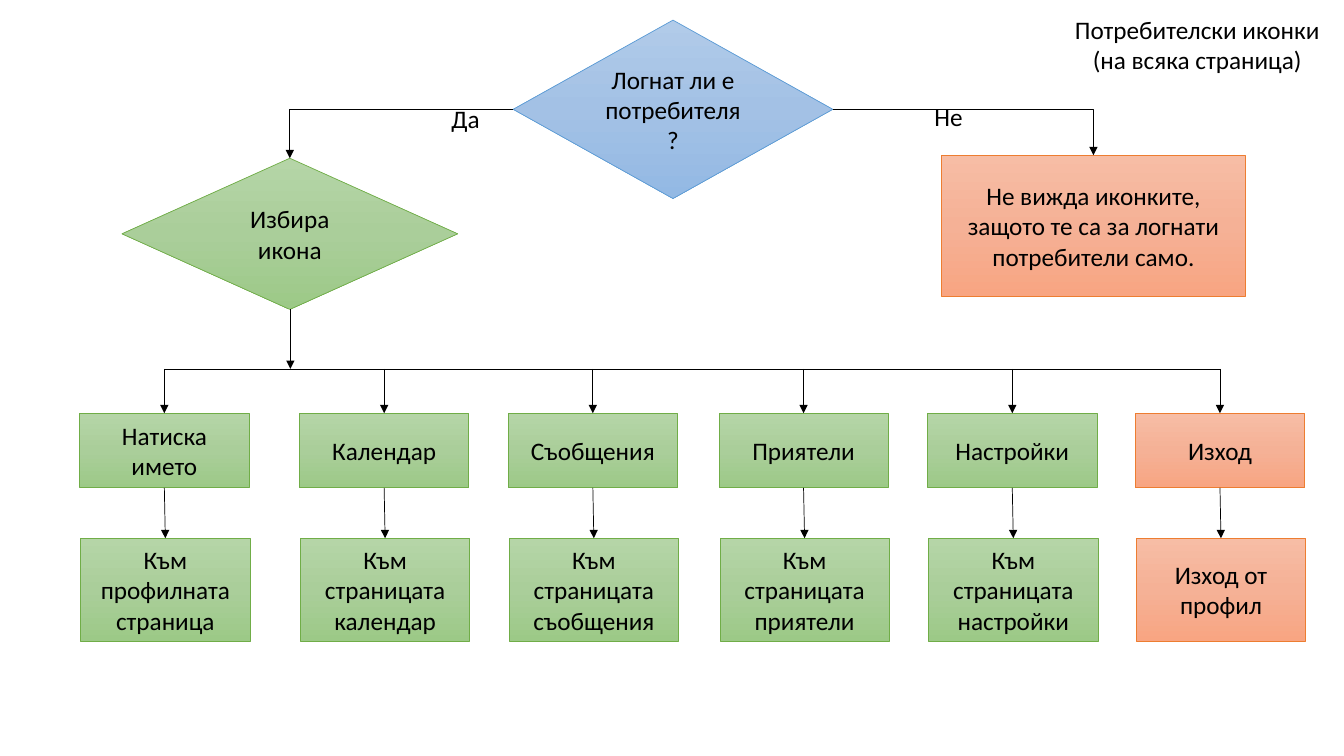
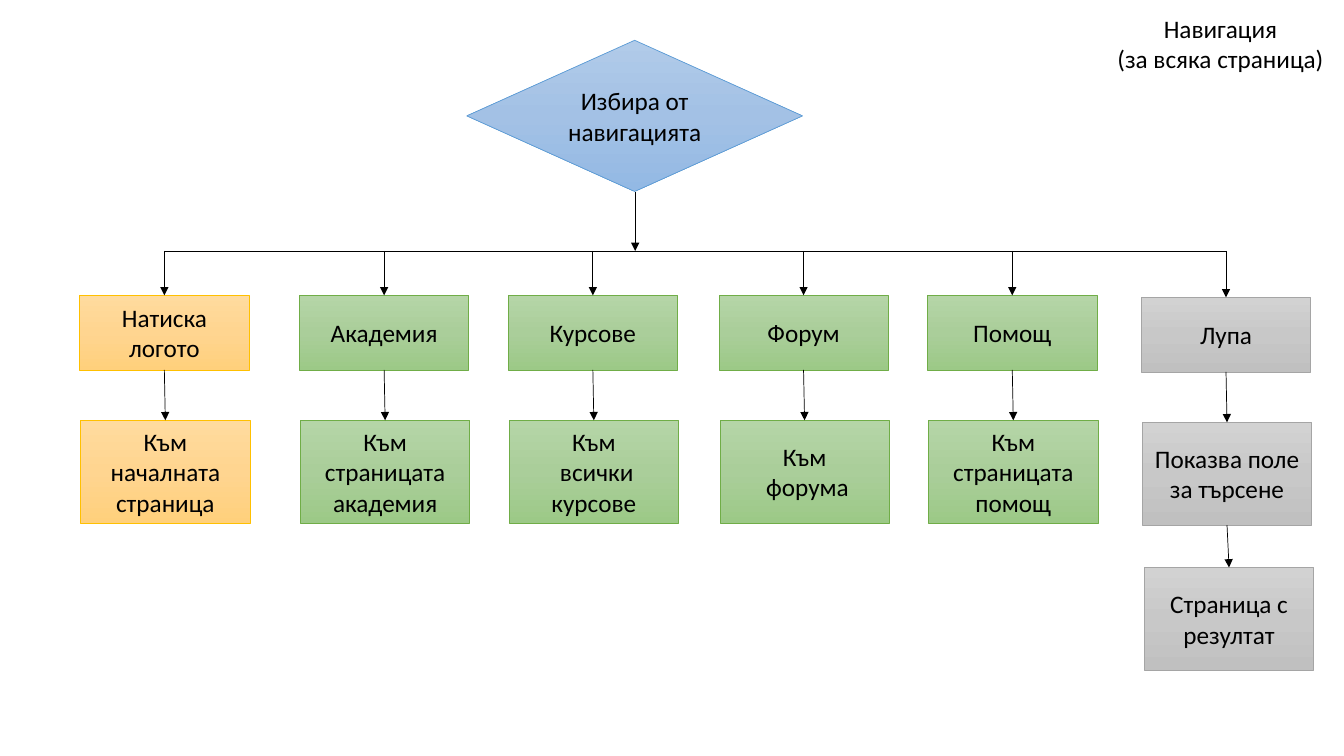
from copy import deepcopy

from lxml import etree
from pptx import Presentation
from pptx.dml.color import RGBColor
from pptx.enum.shapes import MSO_CONNECTOR, MSO_SHAPE
from pptx.enum.text import MSO_ANCHOR, MSO_AUTO_SIZE, PP_ALIGN
from pptx.oxml.ns import qn
from pptx.util import Inches, Pt

BOX, DIAMOND = MSO_SHAPE.RECTANGLE, MSO_SHAPE.DIAMOND
STRAIGHT, ELBOW = MSO_CONNECTOR.STRAIGHT, MSO_CONNECTOR.ELBOW
CENTER, LEFT = PP_ALIGN.CENTER, PP_ALIGN.LEFT
TOP, MIDDLE = MSO_ANCHOR.TOP, MSO_ANCHOR.MIDDLE
NO_AUTO_SIZE = MSO_AUTO_SIZE.NONE
TOP_SITE, LEFT_SITE, BOTTOM_SITE, RIGHT_SITE = range(4)

BLACK = RGBColor(0x00, 0x00, 0x00)


def palette(*codes):
    """Three gradient colours from top to bottom, then the outline colour."""
    return [RGBColor.from_string(code) for code in codes]


BLUE = palette("B1CBE9", "A3C1E5", "93B9E4", "5B9BD5")
GREEN = palette("B5D5A7", "AACE9A", "9CC987", "70AD47")
ORANGE = palette("F7BDA5", "F5B196", "F8A582", "ED7D31")
YELLOW = palette("FFDB9E", "FFD590", "FFD07C", "FFC000")
GRAY = palette("D2D2D2", "C8C8C8", "C0C0C0", "A5A5A5")

COLUMNS = [0.79, 2.97, 5.04, 7.13, 9.2, 11.26]
BOX_WIDTH = 1.68
ACTION_HEIGHT = 0.74
RESULT_HEIGHT = 1.02
RESULT_DROP = 1.24
RESULT_SHIFT = 0.01
BAR_GAP = 0.44


class Flowchart:
    font_name = "Calibri"
    font_size = Pt(18)
    line_width = Pt(0.5)

    def __init__(self):
        self.presentation = Presentation()
        self.presentation.slide_width = Inches(13.33)
        self.presentation.slide_height = Inches(7.5)
        self.slide = None

    def set_text(self, text_frame, text, alignment=CENTER):
        text_frame.text = text
        for paragraph in text_frame.paragraphs:
            paragraph.alignment = alignment
            paragraph.line_spacing = 1.0
            for run in paragraph.runs:
                run.font.name = self.font_name
                run.font.size = self.font_size
                run.font.color.rgb = BLACK

    def start_slide(self, title, left, top, width):
        layout = self.presentation.slide_layouts[5]
        self.slide = self.presentation.slides.add_slide(layout)
        placeholder = self.slide.shapes.title
        placeholder.left, placeholder.top = Inches(left), Inches(top)
        placeholder.width, placeholder.height = Inches(width), Inches(0.71)
        text_frame = placeholder.text_frame
        text_frame.auto_size = NO_AUTO_SIZE
        text_frame.word_wrap = False
        text_frame.vertical_anchor = TOP
        self.set_text(text_frame, title)

    def label(self, text, left, top):
        text_box = self.slide.shapes.add_textbox(
            Inches(left), Inches(top), Inches(0.57), Inches(0.4))
        text_box.text_frame.word_wrap = True
        self.set_text(text_box.text_frame, text, LEFT)

    def node(self, kind, colors, text, left, top, width, height):
        shape = self.slide.shapes.add_shape(
            kind, Inches(left), Inches(top), Inches(width), Inches(height))
        shape.shadow.inherit = False
        self.paint(shape, colors)
        shape.text_frame.word_wrap = True
        shape.text_frame.vertical_anchor = MIDDLE
        self.set_text(shape.text_frame, text)
        return shape

    def paint(self, shape, colors):
        *gradient, outline = colors
        shape.fill.gradient()
        shape.fill.gradient_angle = 270
        stop_list = next(shape._element.iter(qn("a:gsLst")))
        stop_list.append(deepcopy(stop_list[-1]))
        for index, color in enumerate(gradient):
            stop = shape.fill.gradient_stops[index]
            stop.color.rgb = color
            stop.position = index / 2
        shape.line.color.rgb = outline
        shape.line.width = self.line_width

    def style_line(self, connector, arrow=True):
        connector.line.color.rgb = BLACK
        connector.line.width = self.line_width
        properties = connector._element.spPr
        if arrow:
            line = properties.find(qn("a:ln"))
            etree.SubElement(line, qn("a:tailEnd"), type="triangle")
        etree.SubElement(properties, qn("a:effectLst"))

    def line(self, start, end, arrow=True):
        connector = self.slide.shapes.add_connector(
            STRAIGHT, *[Inches(value) for value in (*start, *end)])
        self.style_line(connector, arrow)

    def link(self, source, target, source_site=BOTTOM_SITE, kind=STRAIGHT):
        """Glue an arrow from a site of the source to the top of the target."""
        connector = self.slide.shapes.add_connector(kind, 0, 0, 0, 0)
        connector.begin_connect(source, source_site)
        connector.end_connect(target, TOP_SITE)
        if kind == ELBOW:
            geometry = connector._element.spPr.find(qn("a:prstGeom"))
            geometry.set("prst", "bentConnector2")
        self.style_line(connector)

    def result(self, previous, colors, text, left, top):
        shape = self.node(BOX, colors, text, left, top, BOX_WIDTH, RESULT_HEIGHT)
        self.link(previous, shape)
        return shape

    def branch(self, left, top, bar_top, colors, action_text, result_text):
        """Arrow from the bar to an action box, and on to its result box."""
        action = self.node(BOX, colors, action_text, left, top,
                           BOX_WIDTH, ACTION_HEIGHT)
        center = left + BOX_WIDTH / 2
        self.line((center, bar_top), (center, top))
        return self.result(action, colors, result_text,
                           left + RESULT_SHIFT, top + RESULT_DROP)

    def bar(self, columns, top):
        first, last = (left + BOX_WIDTH / 2 for left in (columns[0], columns[-1]))
        self.line((first, top), (last, top), arrow=False)


def build_user_icons(chart):
    chart.start_slide("Потребителски иконки\n(на всяка страница)", 10.51, 0.09, 2.73)
    question = chart.node(DIAMOND, BLUE, "Логнат ли е потребителя?",
                          5.09, 0.2, 3.17, 1.77)
    refusal = chart.node(
        BOX, ORANGE, "Не вижда иконките, защото те са за логнати потребители само.",
        9.34, 1.54, 3.01, 1.4)
    choice = chart.node(DIAMOND, GREEN, "Избира икона", 1.21, 1.57, 3.33, 1.5)
    chart.link(question, refusal, RIGHT_SITE, ELBOW)
    chart.link(question, choice, LEFT_SITE, ELBOW)
    chart.label("Да", 4.38, 0.98)
    chart.label("Не", 9.17, 0.96)

    top = 4.1
    bar_top = top - BAR_GAP
    chart.line((2.88, 3.07), (2.88, bar_top))
    chart.bar(COLUMNS, bar_top)
    branches = [
        (GREEN, "Натиска името", "Към профилната страница"),
        (GREEN, "Календар", "Към страницата календар"),
        (GREEN, "Съобщения", "Към страницата съобщения"),
        (GREEN, "Приятели", "Към страницата приятели"),
        (GREEN, "Настройки", "Към страницата настройки"),
        (ORANGE, "Изход", "Изход от профил"),
    ]
    for left, branch in zip(COLUMNS, branches):
        chart.branch(left, top, bar_top, *branch)


def build_navigation(chart):
    chart.start_slide("Навигация\n(за всяка страница)", 10.97, 0.08, 2.27)
    chart.node(DIAMOND, BLUE, "Избира от навигацията", 4.63, 0.4, 3.33, 1.5)

    top = 2.93
    bar_top = top - BAR_GAP
    search_left = 11.32
    columns = COLUMNS[:-1] + [search_left]
    chart.line((6.3, 1.9), (6.3, bar_top))
    chart.bar(columns, bar_top)
    branches = [
        (YELLOW, "Натиска логото", "Към началната страница"),
        (GREEN, "Академия", "Към страницата академия"),
        (GREEN, "Курсове", "Към\n всички курсове"),
        (GREEN, "Форум", "Към\n форума"),
        (GREEN, "Помощ", "Към страницата помощ"),
    ]
    for left, branch in zip(columns, branches):
        chart.branch(left, top, bar_top, *branch)
    search = chart.branch(search_left, top + 0.02, bar_top, GRAY,
                          "Лупа", "Показва поле за търсене")
    chart.result(search, GRAY, "Страница с резултат", 11.35, 5.63)


def main():
    chart = Flowchart()
    build_user_icons(chart)
    build_navigation(chart)
    chart.presentation.save("out.pptx")


if __name__ == "__main__":
    main()
